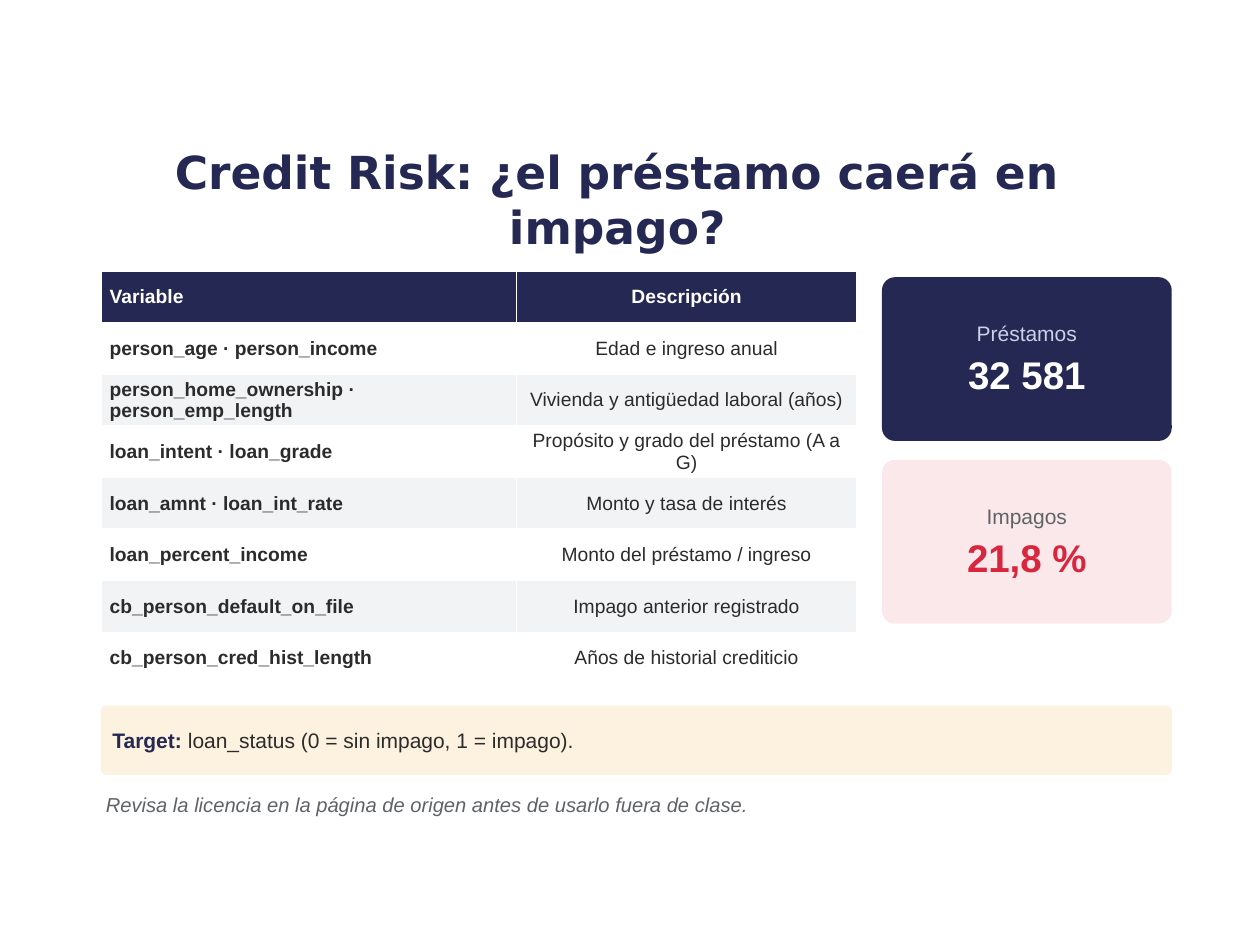
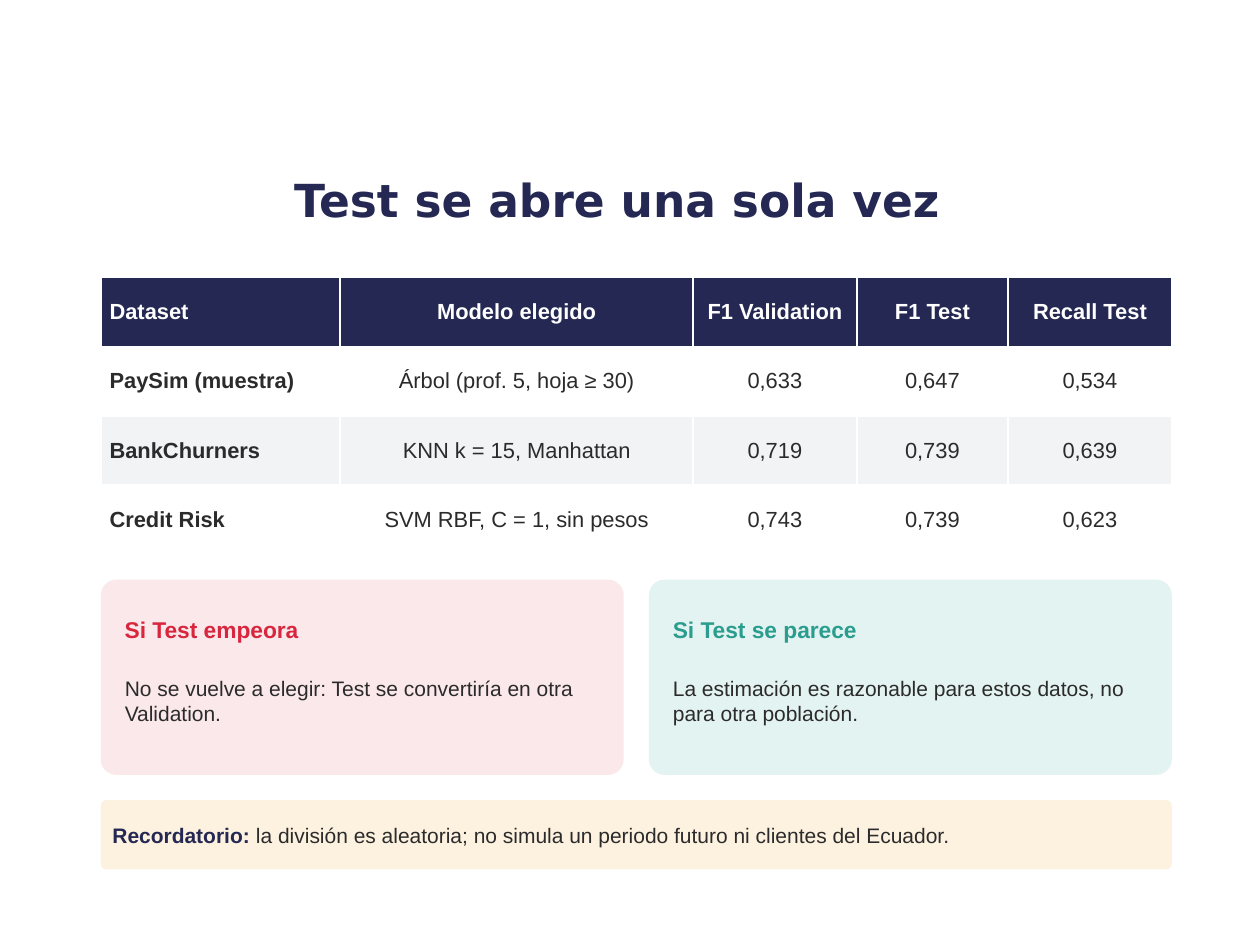
from dataclasses import dataclass
from typing import NamedTuple

import pptx
import pptx.dml.color
import pptx.enum.shapes
import pptx.enum.text
import pptx.slide
import pptx.util

Pt = pptx.util.Pt
RGBColor = pptx.dml.color.RGBColor
ALIGN = pptx.enum.text.PP_ALIGN
ANCHOR = pptx.enum.text.MSO_ANCHOR
AUTO_SIZE = pptx.enum.text.MSO_AUTO_SIZE

# Shared colours and fonts
NAVY = RGBColor(0x24, 0x28, 0x52)
WHITE = RGBColor(0xFF, 0xFF, 0xFF)
INK = RGBColor(0x2B, 0x2B, 0x2B)
GRAY = RGBColor(0x5F, 0x63, 0x68)
STRIPE = RGBColor(0xF2, 0xF3, 0xF5)
ICE = RGBColor(0xC9, 0xD2, 0xE8)
RED = RGBColor(0xD7, 0x26, 0x3D)
PINK = RGBColor(0xFB, 0xE8, 0xEA)
GREEN = RGBColor(0x2A, 0x9D, 0x8F)
MINT = RGBColor(0xE3, 0xF3, 0xF1)
CREAM = RGBColor(0xFD, 0xF2, 0xE0)
TITLE_FONT = "DejaVu Sans"
BODY_FONT = "Arial"

# Shared grid, in points
LEFT = 57.6
CONTENT_WIDTH = 612
RIGHT = LEFT + CONTENT_WIDTH
CALLOUT_HEIGHT = 39.6


class Box(NamedTuple):
    left: float
    top: float
    width: float
    height: float


class Piece(NamedTuple):
    text: str
    size: float
    color: RGBColor
    bold: bool = False
    italic: bool = False


@dataclass(frozen=True)
class Grid:
    left: float
    top: float
    columns: tuple[float, ...]
    row_height: float
    size: float
    rows: tuple[tuple[str, ...], ...]


@dataclass(frozen=True)
class Metric:
    label: str
    value: str
    fill: RGBColor
    label_color: RGBColor
    value_color: RGBColor


@dataclass(frozen=True)
class Verdict:
    heading: str
    body: str
    fill: RGBColor
    accent: RGBColor


# Content
VARIABLES = Grid(LEFT, 154.8, (237.6, 194.4), 29.52, 11, (
    ("Variable", "Descripción"),
    ("person_age · person_income", "Edad e ingreso anual"),
    ("person_home_ownership · person_emp_length", "Vivienda y antigüedad laboral (años)"),
    ("loan_intent · loan_grade", "Propósito y grado del préstamo (A a G)"),
    ("loan_amnt · loan_int_rate", "Monto y tasa de interés"),
    ("loan_percent_income", "Monto del préstamo / ingreso"),
    ("cb_person_default_on_file", "Impago anterior registrado"),
    ("cb_person_cred_hist_length", "Años de historial crediticio"),
))
RESULTS = Grid(LEFT, 158.4, (136.8, 201.6, 93.6, 86.4, 93.6), 39.6, 12.5, (
    ("Dataset", "Modelo elegido", "F1 Validation", "F1 Test", "Recall Test"),
    ("PaySim (muestra)", "Árbol (prof. 5, hoja ≥ 30)", "0,633", "0,647", "0,534"),
    ("BankChurners", "KNN k = 15, Manhattan", "0,719", "0,739", "0,639"),
    ("Credit Risk", "SVM RBF, C = 1, sin pesos", "0,743", "0,739", "0,623"),
))
METRICS = (
    Metric("Préstamos", "32 581", NAVY, ICE, WHITE),
    Metric("Impagos", "21,8 %", PINK, GRAY, RED),
)
VERDICTS = (
    Verdict("Si Test empeora",
            "No se vuelve a elegir: Test se convertiría en otra Validation.", PINK, RED),
    Verdict("Si Test se parece",
            "La estimación es razonable para estos datos, no para otra población.", MINT, GREEN),
)


# Text and shape helpers
def style_font(font, size: float, color: RGBColor, bold: bool = False,
               italic: bool = False, name: str = BODY_FONT) -> None:
    font.name = name
    font.size = Pt(size)
    font.bold = bold
    font.italic = italic
    font.color.rgb = color


def fill_frame(frame, lines: list[list[Piece]], margin: float, space_after: float,
               align=ALIGN.LEFT, anchor=ANCHOR.MIDDLE) -> None:
    frame.word_wrap = True
    frame.vertical_anchor = anchor
    frame.margin_left = frame.margin_right = Pt(margin)
    frame.margin_top = frame.margin_bottom = Pt(margin)
    for index, pieces in enumerate(lines):
        paragraph = frame.add_paragraph() if index else frame.paragraphs[0]
        paragraph.alignment = align
        paragraph.space_after = Pt(space_after)
        for piece in pieces:
            run = paragraph.add_run()
            run.text = piece.text
            style_font(run.font, piece.size, piece.color, piece.bold, piece.italic)


def add_panel(slide: pptx.slide.Slide, box: Box, fill: RGBColor):
    panel = slide.shapes.add_shape(
        pptx.enum.shapes.MSO_SHAPE.ROUNDED_RECTANGLE, *map(Pt, box))
    panel.adjustments[0] = 0.08
    panel.shadow.inherit = False
    panel.fill.solid()
    panel.fill.fore_color.rgb = fill
    panel.line.fill.background()
    return panel


def add_label(slide: pptx.slide.Slide, box: Box, piece: Piece, anchor=ANCHOR.TOP) -> None:
    frame = slide.shapes.add_textbox(*map(Pt, box)).text_frame
    fill_frame(frame, [[piece]], 2.88, 4, anchor=anchor)
    frame.auto_size = AUTO_SIZE.SHAPE_TO_FIT_TEXT


# Parts of the slides
def add_titled_slide(deck, title: str) -> pptx.slide.Slide:
    slide = deck.slides.add_slide(deck.slide_layouts.get_by_name("Title Only"))
    heading = slide.shapes.title
    heading.left, heading.top, heading.width, heading.height = map(
        Pt, (54, 84.96, 597.6, 57.6))
    frame = heading.text_frame
    frame.text = title
    frame.word_wrap = True
    frame.auto_size = AUTO_SIZE.NONE
    frame.vertical_anchor = ANCHOR.MIDDLE
    paragraph = frame.paragraphs[0]
    paragraph.alignment = ALIGN.CENTER
    style_font(paragraph.runs[0].font, 26, NAVY, bold=True, name=TITLE_FONT)
    return slide


def add_grid(slide: pptx.slide.Slide, grid: Grid) -> None:
    table = slide.shapes.add_table(
        len(grid.rows), len(grid.columns), Pt(grid.left), Pt(grid.top),
        Pt(sum(grid.columns)), Pt(grid.row_height * len(grid.rows))).table
    for column, width in zip(table.columns, grid.columns):
        column.width = Pt(width)
    for r, texts in enumerate(grid.rows):
        table.rows[r].height = Pt(grid.row_height)
        for c, text in enumerate(texts):
            cell = table.cell(r, c)
            cell.fill.solid()
            cell.fill.fore_color.rgb = NAVY if r == 0 else WHITE if r % 2 else STRIPE
            cell.vertical_anchor = ANCHOR.MIDDLE
            cell.margin_left = cell.margin_right = Pt(5.04)
            cell.margin_top = cell.margin_bottom = Pt(2.16)
            cell.text = text
            paragraph = cell.text_frame.paragraphs[0]
            paragraph.alignment = ALIGN.CENTER if c else ALIGN.LEFT
            style_font(paragraph.runs[0].font, grid.size, INK if r else WHITE,
                       bold=r == 0 or c == 0)


def add_metric(slide: pptx.slide.Slide, box: Box, metric: Metric) -> None:
    panel = add_panel(slide, box, metric.fill)
    fill_frame(panel.text_frame, [
        [Piece(metric.label, 12, metric.label_color)],
        [Piece(metric.value, 22, metric.value_color, bold=True)],
    ], 5.76, 3, align=ALIGN.CENTER)


def add_verdict(slide: pptx.slide.Slide, box: Box, verdict: Verdict) -> None:
    add_panel(slide, box, verdict.fill)
    text_left = box.left + 10.8
    add_label(slide, Box(text_left, box.top + 8.64, 280.8, 39.6),
              Piece(verdict.heading, 13, verdict.accent, bold=True), ANCHOR.MIDDLE)
    add_label(slide, Box(text_left, box.top + 51.84, 277.2, 54),
              Piece(verdict.body, 12, INK))


def add_callout(slide: pptx.slide.Slide, top: float, lead: str, message: str) -> None:
    panel = add_panel(slide, Box(LEFT, top, CONTENT_WIDTH, CALLOUT_HEIGHT), CREAM)
    fill_frame(panel.text_frame,
               [[Piece(lead, 12, NAVY, bold=True), Piece(message, 12, INK)]], 5.76, 3)


# Slides
def build_credit_risk(deck) -> None:
    slide = add_titled_slide(deck, "Credit Risk: ¿el préstamo caerá en impago?")
    add_grid(slide, VARIABLES)
    width, height, gap = 165.6, 93.6, 10.8
    for index, metric in enumerate(METRICS):
        top = 158.4 + index * (height + gap)
        add_metric(slide, Box(RIGHT - width, top, width, height), metric)
    add_callout(slide, 403.2, "Target: ", "loan_status (0 = sin impago, 1 = impago).")
    add_label(slide, Box(LEFT, 450, CONTENT_WIDTH, 43.2), Piece(
        "Revisa la licencia en la página de origen antes de usarlo fuera de clase.",
        11.5, GRAY, italic=True))


def build_test_once(deck) -> None:
    slide = add_titled_slide(deck, "Test se abre una sola vez")
    add_grid(slide, RESULTS)
    gap = 14.4
    width = (CONTENT_WIDTH - gap) / len(VERDICTS)
    for index, verdict in enumerate(VERDICTS):
        left = LEFT + index * (width + gap)
        add_verdict(slide, Box(left, 331.2, width, 111.6), verdict)
    add_callout(slide, 457.2, "Recordatorio: ",
                "la división es aleatoria; no simula un periodo futuro ni clientes del Ecuador.")


def main() -> None:
    deck = pptx.Presentation()
    deck.slide_width, deck.slide_height = Pt(720), Pt(540)
    build_credit_risk(deck)
    build_test_once(deck)
    deck.save("out.pptx")


if __name__ == "__main__":
    main()
